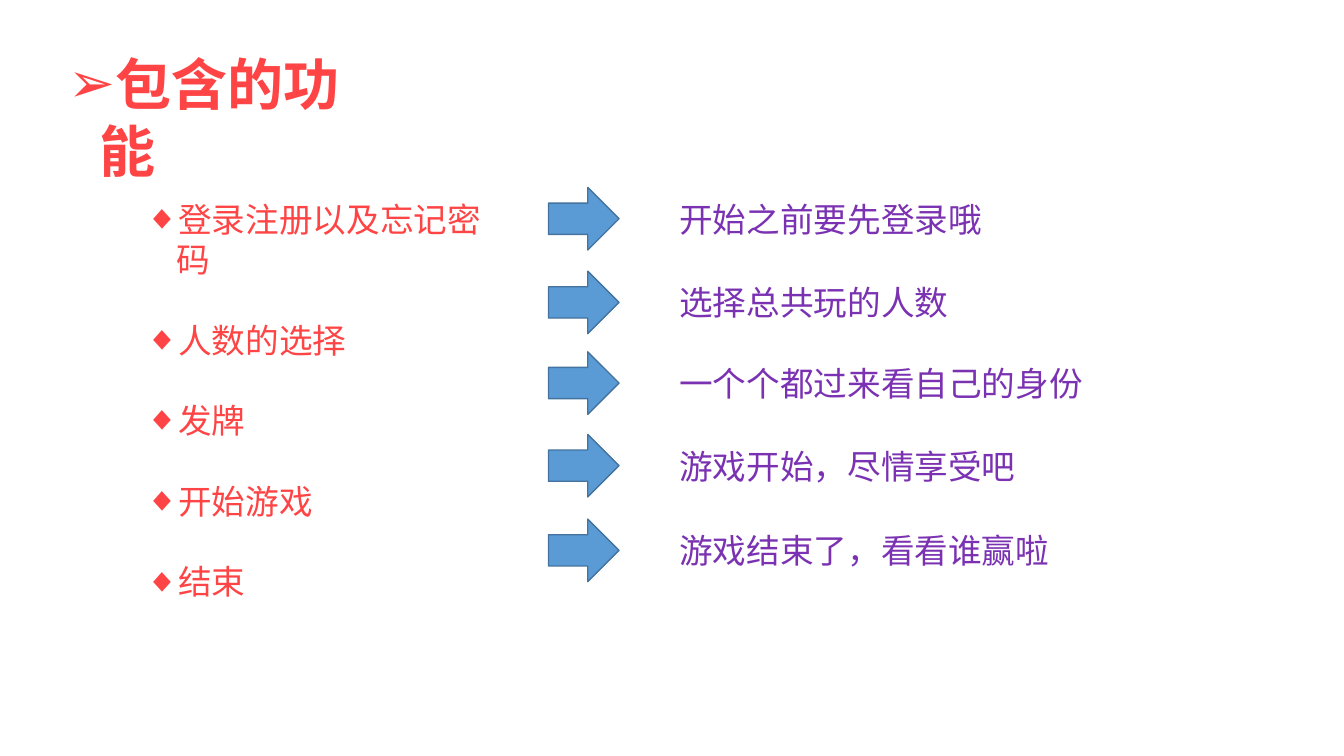
from dataclasses import dataclass

from lxml.etree import SubElement
from pptx import Presentation
from pptx.dml.color import RGBColor
from pptx.enum.shapes import MSO_SHAPE as Shape
from pptx.enum.text import MSO_AUTO_SIZE as AutoSize
from pptx.oxml.ns import qn
from pptx.util import Inches, Pt


@dataclass(frozen=True)
class Theme:
    red: RGBColor = RGBColor.from_string("FE4444")
    purple: RGBColor = RGBColor.from_string("7B32B2")
    arrow_fill: RGBColor = RGBColor.from_string("5B9BD5")
    arrow_line: RGBColor = RGBColor.from_string("43739E")
    title_font: str = "Noto Sans CJK SC"
    body_font: str = "Arial"
    title_size: Pt = Pt(40)
    body_size: Pt = Pt(24)
    item_gap: Pt = Pt(28.8)


theme = Theme()


def add_text(page, left, top, width, height, lines, color, size, font, wrap=False, bullet=None):
    box = page.shapes.add_textbox(Inches(left), Inches(top), Inches(width), Inches(height))
    frame = box.text_frame
    frame.word_wrap = wrap
    frame.auto_size = AutoSize.SHAPE_TO_FIT_TEXT
    frame.text = "\n".join(lines)
    for para in frame.paragraphs:
        if bullet:
            add_bullet(para, bullet)
        para.font.name = font
        para.font.size = size
        para.font.color.rgb = color
    return frame.paragraphs


def add_bullet(para, symbol):
    properties = para._p.get_or_add_pPr()
    properties.set("marL", str(Inches(0.31)))
    properties.set("indent", str(-Inches(0.31)))
    SubElement(properties, qn("a:buFont"), typeface=theme.body_font)
    SubElement(properties, qn("a:buChar"), char=symbol)


deck = Presentation()
deck.slide_width, deck.slide_height = Inches(13.33), Inches(7.5)
page = deck.slides.add_slide(deck.slide_layouts[6])

# Title
title = add_text(page, 0.58, 0.44, 3.43, 0.77, ["包含的功能"], theme.red,
                 theme.title_size, theme.title_font, wrap=True, bullet="➢")
title[0].font.bold = True

# Feature list
features = ["登录注册以及忘记密码", "人数的选择", "发牌", "开始游戏", "结束"]
items = add_text(page, 1.34, 1.92, 3.86, 3.73, features, theme.red,
                 theme.body_size, theme.body_font, bullet="◆")
for item in items[:-1]:
    item.space_after = theme.item_gap

# Arrows, each with its explanation: top, text width, text
explanations = [
    (1.86, 3.2, "开始之前要先登录哦"),
    (2.69, 2.87, "选择总共玩的人数"),
    (3.49, 4.2, "一个个都过来看自己的身份"),
    (4.31, 3.53, "游戏开始，尽情享受吧"),
    (5.15, 3.87, "游戏结束了，看看谁赢啦"),
]
for top, width, text in explanations:
    arrow = page.shapes.add_shape(Shape.RIGHT_ARROW, Inches(5.44), Inches(top),
                                  Inches(0.7), Inches(0.62))
    arrow.shadow.inherit = False
    arrow.fill.solid()
    arrow.fill.fore_color.rgb = theme.arrow_fill
    arrow.line.color.rgb = theme.arrow_line
    arrow.line.width = Pt(1)
    add_text(page, 6.64, top + 0.06, width, 0.5, [text], theme.purple,
             theme.body_size, theme.body_font)

deck.save("out.pptx")
